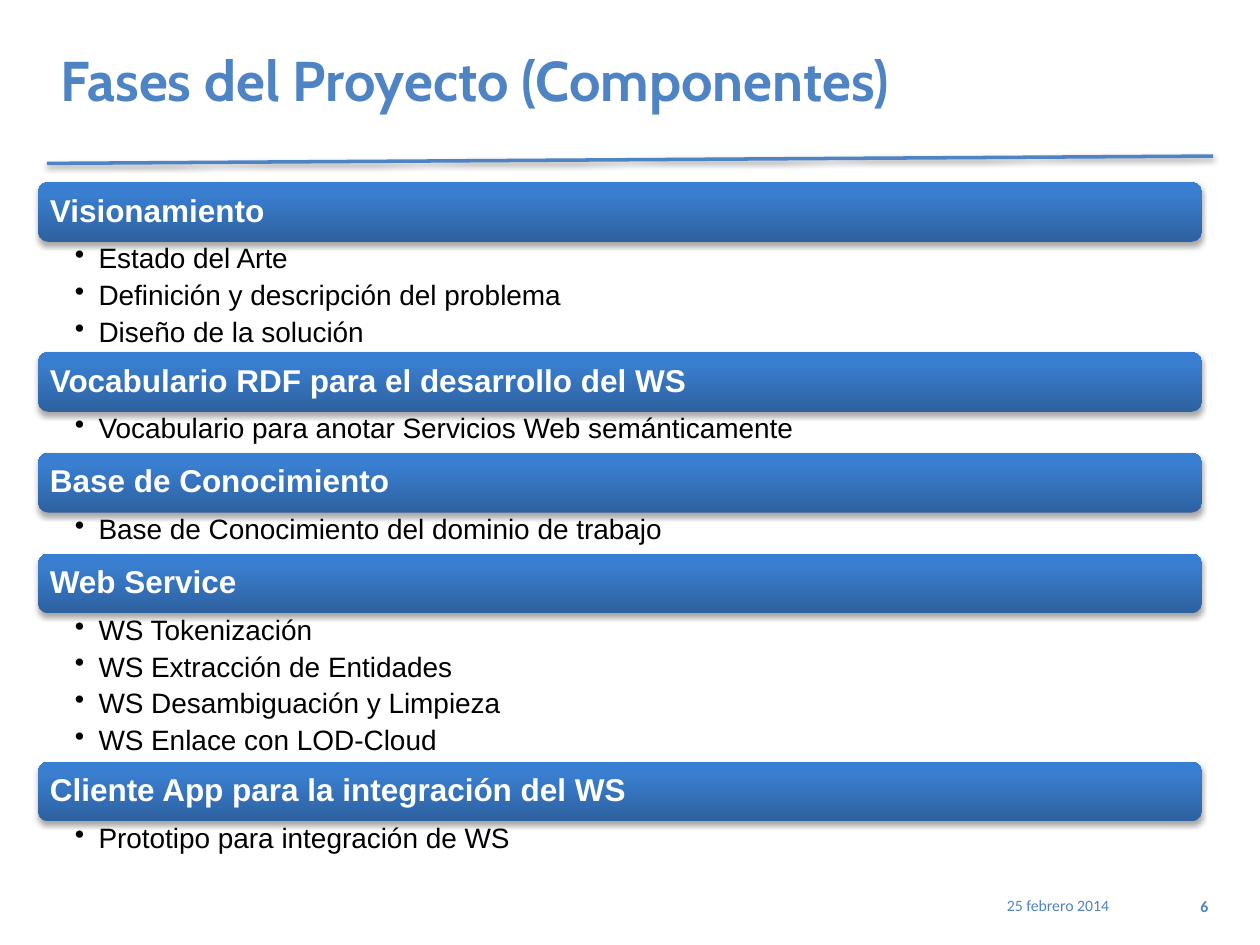
from lxml import etree
from pptx import Presentation
from pptx.dml.color import RGBColor
from pptx.enum.shapes import MSO_CONNECTOR, MSO_SHAPE
from pptx.enum.text import MSO_ANCHOR, PP_ALIGN
from pptx.oxml.ns import qn
from pptx.util import Pt

LEFT, RIGHT = PP_ALIGN.LEFT, PP_ALIGN.RIGHT
TOP, MIDDLE = MSO_ANCHOR.TOP, MSO_ANCHOR.MIDDLE
ROUNDED = MSO_SHAPE.ROUNDED_RECTANGLE
STRAIGHT = MSO_CONNECTOR.STRAIGHT

THEME = {
    "accent": "4E84C4",
    "shadow": "000000",
    "gradient": [(0, "2D619F"), (80, "3A7ECF"), (100, "387FD3")],
    "title": {"font": {"name": "Cabin", "size": Pt(32), "bold": True}, "color": "4E84C4",
              "frame": {"vertical_anchor": MIDDLE}, "para": {"alignment": LEFT}},
    "heading": {"font": {"name": "Arial", "size": Pt(18), "bold": True}, "color": "FFFFFF",
                "frame": {"vertical_anchor": MIDDLE, "margin_left": Pt(5), "margin_right": Pt(5),
                          "margin_top": Pt(5), "margin_bottom": Pt(5)},
                "para": {"alignment": LEFT, "line_spacing": 0.9}},
    "item": {"font": {"name": "Arial", "size": Pt(16), "bold": False}, "color": "000000",
             "frame": {"vertical_anchor": TOP, "margin_left": Pt(21), "margin_right": Pt(8.5),
                       "margin_top": Pt(1.6), "margin_bottom": Pt(1.6)},
             "para": {"alignment": LEFT, "line_spacing": 0.9, "space_after": Pt(3.8)},
             "bullet": "•"},
    "date": {"font": {"name": "Calibri", "size": Pt(9), "bold": False}, "color": "4E84C4",
             "frame": {"vertical_anchor": TOP}, "para": {"alignment": RIGHT}},
    "number": {"font": {"name": "Calibri", "size": Pt(9), "bold": True}, "color": "4E84C4",
               "frame": {"vertical_anchor": TOP}, "para": {"alignment": RIGHT}},
}

PHASES = [
    ("Visionamiento", 63,
     ["Estado del Arte", "Definición y descripción del problema", "Diseño de la solución"]),
    ("Vocabulario RDF para el desarrollo del WS", 23.5,
     ["Vocabulario para anotar Servicios Web semánticamente"]),
    ("Base de Conocimiento", 23.5, ["Base de Conocimiento del dominio de trabajo"]),
    ("Web Service", 84.8,
     ["WS Tokenización", "WS Extracción de Entidades", "WS Desambiguación y Limpieza",
      "WS Enlace con LOD-Cloud"]),
    ("Cliente App para la integración del WS", 23.5, ["Prototipo para integración de WS"]),
]
BAR_LEFT, BAR_WIDTH, BAR_HEIGHT = 21.8, 664.8, 34.1

deck = Presentation()
deck.slide_width, deck.slide_height = Pt(720), Pt(540)
page = deck.slides.add_slide(deck.slide_layouts[6])


def add_text(left, top, width, height, lines, style):
    box = page.shapes.add_textbox(Pt(left), Pt(top), Pt(width), Pt(height))
    frame = box.text_frame
    frame.word_wrap = True
    for name, value in style["frame"].items():
        setattr(frame, name, value)
    for index, line in enumerate(lines):
        para = frame.add_paragraph() if index else frame.paragraphs[0]
        for name, value in style["para"].items():
            setattr(para, name, value)
        if "bullet" in style:
            props = para._p.get_or_add_pPr()
            props.set("marL", str(Pt(13.5)))
            props.set("indent", str(-Pt(13.5)))
            etree.SubElement(props, qn("a:buChar"), char=style["bullet"])
        span = para.add_run()
        span.text = line
        for name, value in style["font"].items():
            setattr(span.font, name, value)
        span.font.color.rgb = RGBColor.from_string(style["color"])


def add_shadow(effects, distance, opacity):
    shadow = etree.SubElement(effects, qn("a:outerShdw"), blurRad=str(Pt(3.1)),
                              dist=str(Pt(distance)), dir="5400000", rotWithShape="0")
    color = etree.SubElement(shadow, qn("a:srgbClr"), val=THEME["shadow"])
    etree.SubElement(color, qn("a:alpha"), val=str(opacity * 1000))


rule = page.shapes.add_connector(STRAIGHT, Pt(26.8), Pt(93.4), Pt(693.2), Pt(89.2))
rule.line.width = Pt(2)
rule.line.color.rgb = RGBColor.from_string(THEME["accent"])
add_shadow(etree.SubElement(rule._element.spPr, qn("a:effectLst")), 1.6, 38)

add_text(27.4, 21.6, 664.6, 46.8, ["Fases del Proyecto (Componentes)"], THEME["title"])

top = 104.1
for heading, items_height, items in PHASES:
    bar = page.shapes.add_shape(ROUNDED, Pt(BAR_LEFT), Pt(top), Pt(BAR_WIDTH), Pt(BAR_HEIGHT))
    bar.line.fill.background()
    bar.fill.gradient()
    bar.fill.gradient_angle = 90
    stops = bar._element.spPr.find(qn("a:gradFill")).find(qn("a:gsLst"))
    stops.clear()
    for position, color in THEME["gradient"]:
        stop = etree.SubElement(stops, qn("a:gs"), pos=str(position * 1000))
        etree.SubElement(stop, qn("a:srgbClr"), val=color)
    bar.shadow.inherit = False
    add_shadow(bar._element.spPr.find(qn("a:effectLst")), 1.8, 35)
    add_text(BAR_LEFT + 1.7, top + 1.7, BAR_WIDTH - 3.4, BAR_HEIGHT - 3.4,
             [heading], THEME["heading"])
    add_text(BAR_LEFT, top + BAR_HEIGHT, BAR_WIDTH, items_height, items, THEME["item"])
    top += BAR_HEIGHT + items_height

add_text(529.2, 508.3, 111.6, 25.2, ["25 febrero 2014"], THEME["date"])
add_text(667.4, 509, 30.2, 20.9, ["6"], THEME["number"])

deck.save("out.pptx")
